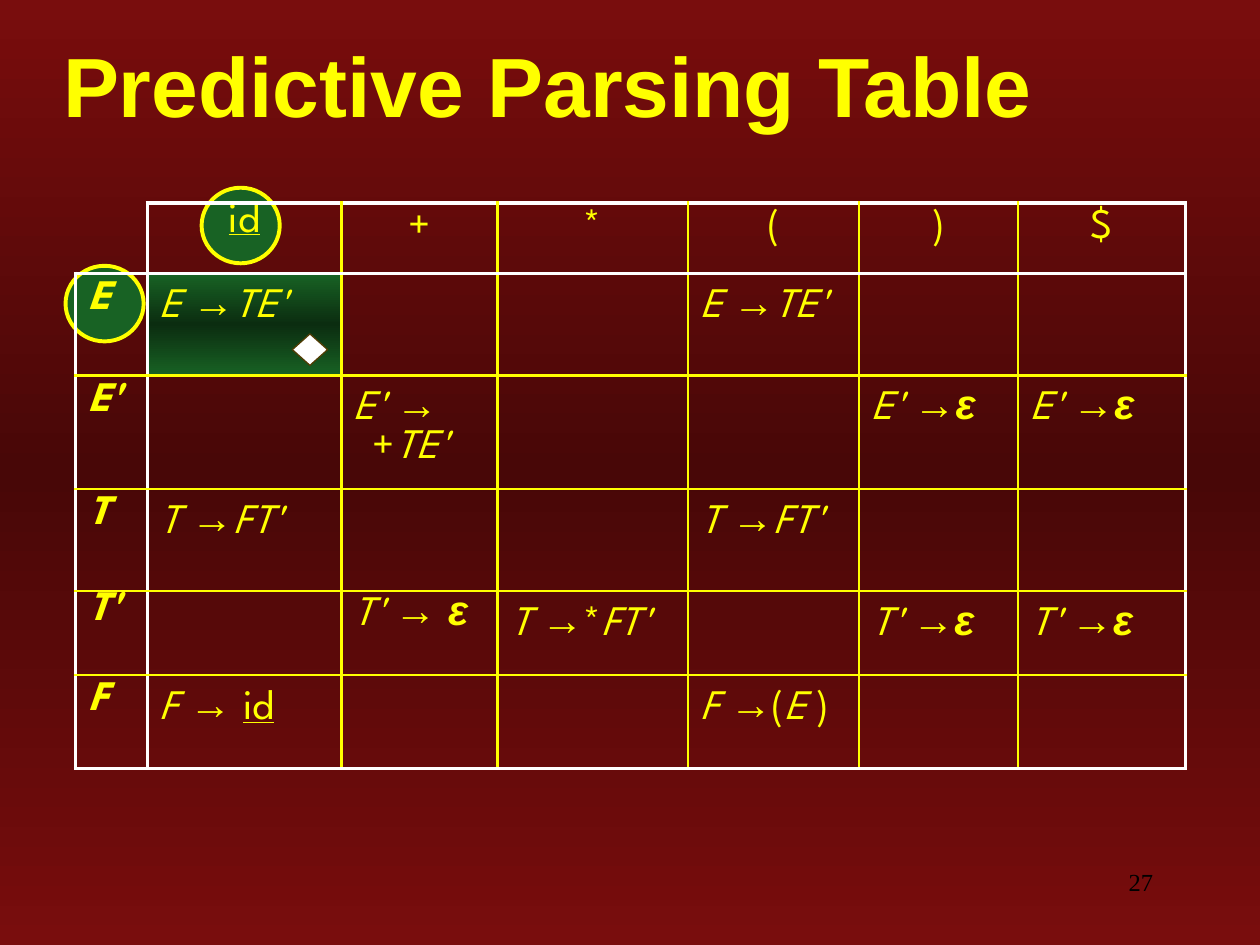
from copy import deepcopy
from itertools import groupby

from lxml import etree
from pptx import Presentation
from pptx.dml.color import RGBColor
from pptx.enum.shapes import MSO_SHAPE
from pptx.enum.text import MSO_ANCHOR, PP_ALIGN
from pptx.oxml.ns import qn
from pptx.util import Inches, Pt

ELLIPSE, DIAMOND = MSO_SHAPE.OVAL, MSO_SHAPE.DIAMOND
LEFT, CENTER, RIGHT = PP_ALIGN.LEFT, PP_ALIGN.CENTER, PP_ALIGN.RIGHT
MIDDLE = MSO_ANCHOR.MIDDLE

YELLOW = RGBColor(0xFF, 0xFF, 0x00)
WHITE = RGBColor(0xFF, 0xFF, 0xFF)
BLACK = RGBColor(0x00, 0x00, 0x00)
RED = RGBColor(0x79, 0x0D, 0x0D)
DARK_RED = RGBColor(0x48, 0x07, 0x07)
GREEN = RGBColor(0x18, 0x62, 0x24)
DARK_GREEN = RGBColor(0x0B, 0x2D, 0x10)
BROWN = RGBColor(0x50, 0x3C, 0x04)

HEADING_FONT, GRAMMAR_FONT, NUMBER_FONT = "Arial", "League Spartan", "Times New Roman"

COLUMNS = [0.57, 1.54, 1.24, 1.51, 1.36, 1.26, 1.33]
ROWS = [0.56, 0.81, 0.9, 0.81, 0.67, 0.74]
PARSING_TABLE = [
    ["", "id", "+", "*", "(", ")", "$"],
    ["E", "E →TE'", "", "", "E →TE'", "", ""],
    ["E'", "", "E' →\v+TE'", "", "", "E' →ε", "E' →ε"],
    ["T", "T →FT'", "", "", "T →FT'", "", ""],
    ["T'", "", "T' → ε", "T →*FT'", "", "T' →ε", "T' →ε"],
    ["F", "F → id", "", "", "F →(E )", "", ""],
]
TIGHT_CELLS = {(0, 1), (4, 0), (4, 2)}
MATCHED_CELL = (1, 1)


def fill_gradient(fill, owner, edge, middle):
    """Vertical gradient with the same colour at both ends."""
    fill.gradient()
    fill.gradient_angle = 90
    stops = owner.find(".//" + qn("a:gsLst"))
    stops.insert(1, deepcopy(stops[0]))
    for stop, position, color in zip(fill.gradient_stops, (0, 0.5, 1), (edge, middle, edge)):
        stop.position = position
        stop.color.rgb = color


def add_marker(slide, preset, box, fill, line, width):
    marker = slide.shapes.add_shape(preset, *map(Inches, box))
    marker.shadow.inherit = False
    marker.fill.solid()
    marker.fill.fore_color.rgb = fill
    marker.line.color.rgb = line
    marker.line.width = Pt(width)


def add_title(slide, box):
    title = slide.shapes.title
    title.left, title.top, title.width, title.height = map(Inches, box)
    frame = title.text_frame
    frame.text = "Predictive Parsing Table"
    frame.vertical_anchor = MIDDLE
    frame.paragraphs[0].alignment = LEFT
    run = frame.paragraphs[0].runs[0]
    run.font.size, run.font.bold, run.font.name = Pt(48), True, HEADING_FONT
    run.font.color.rgb = YELLOW
    # Light text shadow, placed right after the text fill
    effects = etree.Element(qn("a:effectLst"))
    shadow = etree.SubElement(effects, qn("a:outerShdw"), dist="17961", dir="2700000")
    etree.SubElement(shadow, qn("a:srgbClr"), val="C0C0C0")
    run.font.fill.fore_color.rgb = YELLOW
    run._r.rPr.find(qn("a:solidFill")).addnext(effects)


def symbol_kinds(production):
    """Pair each character with its kind; a space follows the one before it."""
    kind = "symbol"
    for char in production:
        if char in "→ε":
            kind = char
        elif char == "\v":
            kind = "break"
        elif char in "id":
            kind = "terminal"
        elif char.isupper() or char == "'":
            kind = "variable"
        elif char != " ":
            kind = "symbol"
        yield kind, char


def write_production(cell, production, is_row_head, is_header, tight):
    paragraph = cell.text_frame.paragraphs[0]
    if is_header:
        paragraph.alignment = CENTER
    if tight:
        paragraph.line_spacing = 0.75
    else:
        paragraph.space_before = Pt(6)
    for kind, pairs in groupby(symbol_kinds(production), key=lambda pair: pair[0]):
        if kind == "break":
            paragraph.add_line_break()
            properties = paragraph._p.get_or_add_pPr()
            properties.set("marL", str(Inches(0.15)))
            properties.set("indent", str(-Inches(0.15)))
            continue
        run = paragraph.add_run()
        run.text = "".join(char for _, char in pairs)
        font = run.font
        font.size = Pt(24)
        font.color.rgb = YELLOW
        font.name = HEADING_FONT if kind in "→ε" else GRAMMAR_FONT
        font.bold = is_row_head or kind in "→ε"
        font.italic = kind in ("variable", "ε")
        font.underline = kind == "terminal"


def set_borders(cell, row, column):
    """White frame and header rules, yellow grid, open top-left corner."""
    properties = cell._tc.get_or_add_tcPr()
    frame_x, frame_y = (0, 1, len(COLUMNS)), (0, 1, len(ROWS))
    sides = {
        "a:lnL": column in frame_x,
        "a:lnR": column + 1 in frame_x,
        "a:lnT": row in frame_y,
        "a:lnB": row + 1 in frame_y,
    }
    for side, framed in sides.items():
        line = etree.SubElement(properties, qn(side), w=str(Pt(2.21 if framed else 1.47)))
        if row == column == 0 and side in ("a:lnL", "a:lnT"):
            etree.SubElement(line, qn("a:noFill"))
        else:
            solid = etree.SubElement(line, qn("a:solidFill"))
            etree.SubElement(solid, qn("a:srgbClr"), val=str(WHITE if framed else YELLOW))


def add_parsing_table(slide, left, top):
    table = slide.shapes.add_table(
        len(ROWS), len(COLUMNS), Inches(left), Inches(top),
        Inches(sum(COLUMNS)), Inches(sum(ROWS))).table
    table.first_row = table.horz_banding = False
    for column, width in zip(table.columns, COLUMNS):
        column.width = Inches(width)
    for row, height in zip(table.rows, ROWS):
        row.height = Inches(height)
    for r, productions in enumerate(PARSING_TABLE):
        for c, production in enumerate(productions):
            cell = table.cell(r, c)
            write_production(cell, production, c == 0, r == 0, (r, c) in TIGHT_CELLS)
            set_borders(cell, r, c)
            if (r, c) == MATCHED_CELL:
                fill_gradient(cell.fill, cell._tc, GREEN, DARK_GREEN)
            else:
                cell.fill.background()


def add_page_number(slide, box):
    frame = slide.shapes.add_textbox(*map(Inches, box)).text_frame
    frame.word_wrap = True
    frame.text = "27"
    frame.paragraphs[0].alignment = RIGHT
    font = frame.paragraphs[0].runs[0].font
    font.size, font.name = Pt(14), NUMBER_FONT
    font.color.rgb = BLACK


def main():
    deck = Presentation()
    deck.slide_width, deck.slide_height = Inches(10), Inches(7.5)
    slide = deck.slides.add_slide(deck.slide_layouts[5])
    fill_gradient(slide.background.fill, slide._element, RED, DARK_RED)

    # Circles behind the current stack symbol and input token
    for left, top in ((0.52, 2.11), (1.6, 1.49)):
        add_marker(slide, ELLIPSE, (left, top, 0.62, 0.6), GREEN, YELLOW, 2.25)
    add_title(slide, (0.4, 0.25, 10, 0.83))
    add_parsing_table(slide, 0.6, 1.61)
    # Diamond in the matched cell
    add_marker(slide, DIAMOND, (2.32, 2.65, 0.28, 0.25), WHITE, BROWN, 0.75)
    add_page_number(slide, (7.17, 6.83, 2.08, 0.5))
    deck.save("out.pptx")


if __name__ == "__main__":
    main()
